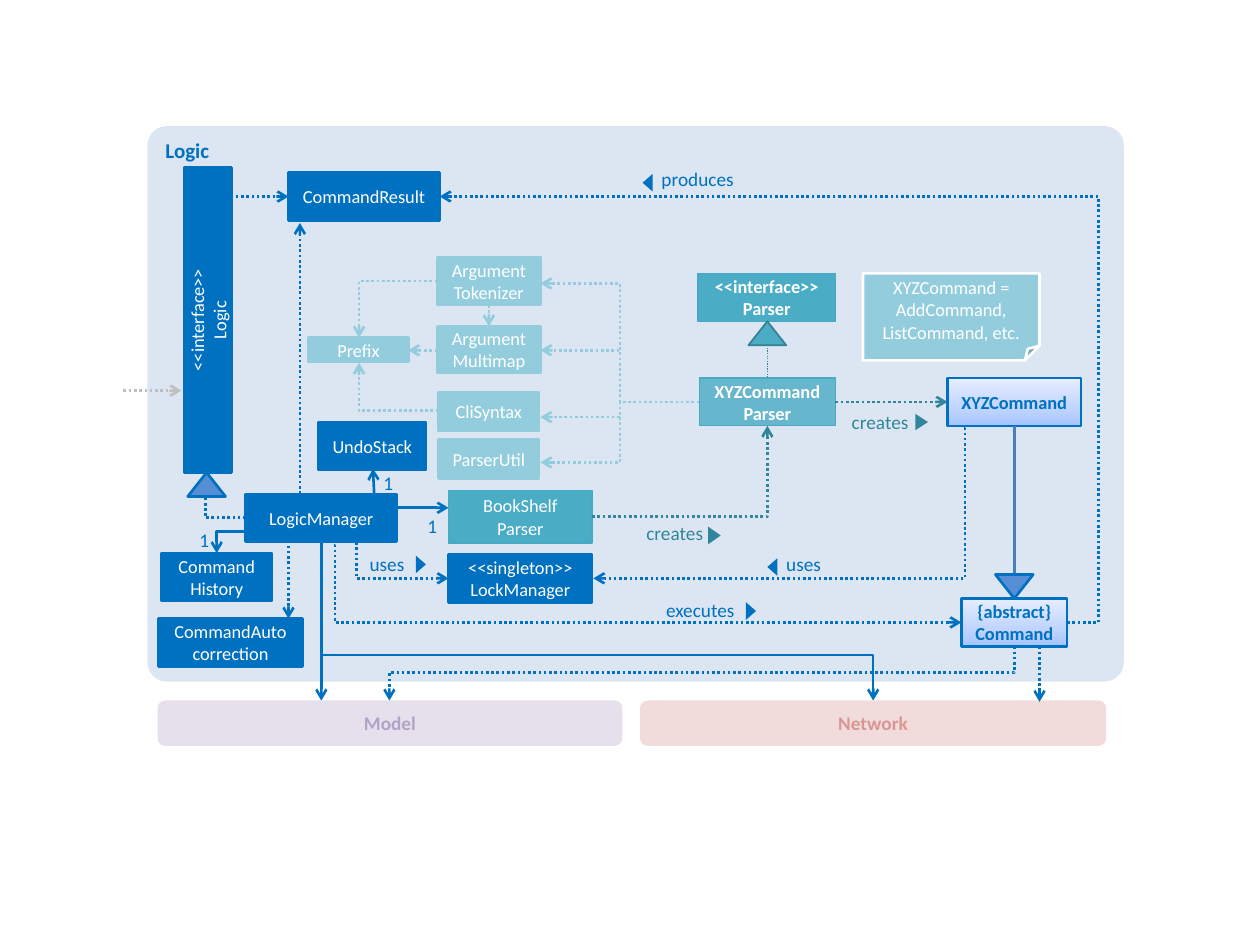
"""Build the Logic component class diagram slide."""
import copy
import pptx
import pptx.dml.color
import pptx.enum.dml
import pptx.enum.shapes
import pptx.enum.text
import pptx.oxml.ns
import pptx.util
from lxml import etree

RGB = pptx.dml.color.RGBColor
SHAPE = pptx.enum.shapes.MSO_SHAPE
ALIGN = pptx.enum.text.PP_ALIGN
ANCHOR = pptx.enum.text.MSO_ANCHOR
qn = pptx.oxml.ns.qn
inches = pptx.util.Inches

BLUE = RGB(0x00, 0x70, 0xC0)
MID_BLUE = RGB(0x55, 0x8E, 0xD5)
STEEL = RGB(0x4B, 0x7E, 0xBC)
PANEL = RGB(0xDC, 0xE6, 0xF2)
TEAL = RGB(0x4B, 0xAC, 0xC6)
TEAL_EDGE = RGB(0x46, 0xAA, 0xC5)
TEAL_DARK = RGB(0x31, 0x85, 0x9C)
TEAL_RIM = RGB(0x37, 0x7F, 0x92)
PALE = RGB(0x93, 0xCD, 0xDD)
GREY = RGB(0xBF, 0xBF, 0xBF)
LILAC = RGB(0xE6, 0xE0, 0xEC)
LILAC_INK = RGB(0xB3, 0xA2, 0xC7)
ROSE = RGB(0xF2, 0xDC, 0xDB)
ROSE_INK = RGB(0xD9, 0x96, 0x94)
WHITE = RGB(0xFF, 0xFF, 0xFF)
COMMAND_STOPS = ((0, RGB(0xA4, 0xC4, 0xFF)), (0.35, RGB(0xBF, 0xD4, 0xFF)), (1, RGB(0xE6, 0xEE, 0xFF)))

STYLES = {
    "main": dict(fill=BLUE, edge=BLUE),
    "parser": dict(fill=TEAL, edge=TEAL_EDGE, weight=0.75),
    "parser bold": dict(fill=TEAL, edge=TEAL_EDGE, weight=0.75, bold=True),
    "helper": dict(fill=PALE, edge=PALE),
    "command": dict(fill=COMMAND_STOPS, edge=BLUE, ink=BLUE, bold=True),
    "note": dict(fill=PALE, edge=WHITE, kind=SHAPE.FOLDED_CORNER),
    "model": dict(fill=LILAC, kind=SHAPE.ROUNDED_RECTANGLE, size=11, ink=LILAC_INK, bold=True),
    "network": dict(fill=ROSE, kind=SHAPE.ROUNDED_RECTANGLE, size=11, ink=ROSE_INK, bold=True),
}
BOXES = [
    ("CommandResult", "main", 2.29, 1.37, 1.2, 0.38),
    ("XYZCommand", "command", 7.52, 3, 1.06, 0.38),
    ("LogicManager", "main", 1.95, 3.92, 1.2, 0.38),
    ("{abstract}\vCommand", "command", 7.63, 4.75, 0.84, 0.38),
    ("BookShelf\nParser", "parser", 3.56, 3.89, 1.14, 0.42),
    ("Argument\vTokenizer", "helper", 3.47, 2.04, 0.82, 0.38),
    ("Argument\vMultimap", "helper", 3.47, 2.59, 0.82, 0.37),
    ("Prefix", "helper", 2.45, 2.68, 0.79, 0.19),
    ("CliSyntax", "helper", 3.48, 3.11, 0.8, 0.31),
    ("ParserUtil", "helper", 3.48, 3.49, 0.8, 0.31),
    ("Command\nHistory", "main", 1.28, 4.39, 0.88, 0.38),
    ("<<interface>>\nParser", "parser bold", 5.54, 2.17, 1.09, 0.38),
    ("XYZCommand\nParser", "parser bold", 5.55, 3, 1.08, 0.38),
    ("XYZCommand = AddCommand, ListCommand, etc.", "note", 6.85, 2.17, 1.4, 0.69),
    ("UndoStack", "main", 2.53, 3.35, 0.85, 0.38),
    ("<<singleton>>\nLockManager", "main", 3.56, 4.4, 1.14, 0.38),
    ("CommandAutocorrection", "main", 1.26, 4.91, 1.14, 0.38),
    ("Model", "model", 1.25, 5.56, 3.69, 0.36),
    ("Network", "network", 5.08, 5.56, 3.7, 0.36),
]
TRIANGLES = [
    (1.49, 3.75, 0.3, 0.19, 0, MID_BLUE, BLUE, 1.5),
    (7.9, 4.56, 0.3, 0.19, 180, MID_BLUE, BLUE, 1.5),
    (5.94, 2.55, 0.3, 0.19, 0, TEAL, TEAL_RIM, 1),
    (5.89, 4.81, 0.14, 0.08, 90, BLUE, None, 0),
    (5.07, 1.41, 0.14, 0.08, 270, BLUE, None, 0),
    (5.6, 4.2, 0.14, 0.1, 90, TEAL_DARK, None, 0),
    (7.25, 3.3, 0.13, 0.1, 90, TEAL_DARK, None, 0),
    (6.06, 4.46, 0.14, 0.08, 270, BLUE, None, 0),
    (3.27, 4.44, 0.14, 0.08, 90, BLUE, None, 0),
]
LABELS = [
    ("executes", 5.03, 4.75, 0.8, ALIGN.RIGHT, BLUE),
    ("produces", 5.25, 1.33, 0.8, ALIGN.LEFT, BLUE),
    ("creates", 5.13, 4.14, 0.61, ALIGN.LEFT, TEAL_DARK),
    ("creates", 6.76, 3.26, 0.65, ALIGN.LEFT, TEAL_DARK),
    ("uses", 6.24, 4.38, 0.8, ALIGN.LEFT, BLUE),
    ("uses", 2.41, 4.38, 0.8, ALIGN.RIGHT, BLUE),
    ("1", 3.33, 4.08, 0.14, ALIGN.RIGHT, BLUE),
    ("1", 1.52, 4.19, 0.14, ALIGN.RIGHT, BLUE),
    ("1", 2.98, 3.74, 0.14, ALIGN.RIGHT, BLUE),
]
DOTTED = dict(dotted=True, arrow=True)
SOLID = dict(dotted=False, arrow=True)
ROUTES = [
    (BLUE, DOTTED, [
        [(8.47, 4.94), (8.72, 4.94), (8.72, 1.56), (3.49, 1.56)],
        [(1.83, 1.56), (2.29, 1.56)],
        [(8.25, 5.13), (8.25, 5.57)],
        [(2.65, 4.33), (2.66, 4.33), (2.66, 4.94), (7.63, 4.94)],
        [(2.38, 3.92), (2.38, 1.77)],
        [(8.05, 5.13), (8.05, 5.34), (3.09, 5.34), (3.09, 5.56)],
        [(2.29, 4.33), (2.29, 4.91)],
        [(2.85, 4.28), (2.83, 4.28), (2.83, 4.59), (3.56, 4.59)],
        [(7.65, 3.4), (7.66, 3.4), (7.66, 4.59), (4.71, 4.59)]]),
    (BLUE, SOLID, [
        [(2.55, 4.3), (2.55, 5.56)],
        [(3.16, 4.03), (3.56, 4.03)],
        [(2.97, 3.92), (2.96, 3.72)],
        [(2.55, 4.3), (2.55, 5.2), (6.93, 5.2), (6.93, 5.56)],
        [(2.03, 4.22), (1.72, 4.22), (1.72, 4.39)]]),
    (BLUE, dict(dotted=True), [[(1.95, 4.11), (1.63, 4.11), (1.63, 3.94)]]),
    (GREY, DOTTED, [[(0.98, 3.1), (1.44, 3.1)]]),
    (STEEL, dict(), [[(8.05, 4.56), (8.05, 3.38)]]),
    (PALE, DOTTED, [
        [(3.48, 3.26), (2.85, 3.26), (2.85, 2.88)],
        [(3.47, 2.23), (2.85, 2.23), (2.85, 2.68)],
        [(3.47, 2.78), (3.24, 2.78)],
        [(3.88, 2.42), (3.88, 2.59)],
        *[[(5.55, 3.19), (4.92, 3.19), (4.92, y), (4.29, y)] for y in (2.25, 2.78, 3.31, 3.67)]]),
    (TEAL_DARK, DOTTED, [
        [(6.63, 3.19), (7.52, 3.19)],
        [(4.7, 4.1), (6.09, 4.1), (6.09, 3.38)]]),
    (TEAL_DARK, dict(dotted=True, weight=0.75), [[(6.09, 2.74), (6.09, 3)]]),
]


def write(shape, text, size, ink, bold=False, align=ALIGN.CENTER, anchor=ANCHOR.MIDDLE):
    frame = shape.text_frame
    frame.word_wrap = True
    frame.vertical_anchor = anchor
    frame.text = text
    for para in frame.paragraphs:
        para.alignment = align
        for span in para.runs:
            span.font.name, span.font.size = "Calibri", pptx.util.Pt(size)
            span.font.bold, span.font.color.rgb = bold, ink


def add_box(page, at, kind=SHAPE.RECTANGLE, fill=WHITE, edge=None, weight=1.5, turn=0):
    box = page.shapes.add_shape(kind, *map(inches, at))
    box.shadow.inherit = False
    box.rotation = turn
    if fill is COMMAND_STOPS:
        box.fill.gradient()
        box.fill.gradient_angle = 90
        stop_list = box._element.spPr.find(".//" + qn("a:gsLst"))
        stop_list.append(copy.deepcopy(stop_list[0]))
        for stop, (position, color) in zip(box.fill.gradient_stops, fill):
            stop.position, stop.color.rgb = position, color
    else:
        box.fill.solid()
        box.fill.fore_color.rgb = fill
    if edge is None:
        box.line.fill.background()
    else:
        box.line.color.rgb, box.line.width = edge, pptx.util.Pt(weight)
    return box


def add_route(page, points, color, dotted=False, arrow=False, weight=1.5):
    (x0, y0), (x1, y1) = points[0], points[-1]
    bend = points[1]
    upright = len(points) == 4 and bend[0] == x0
    ends = (x0, y0, x1, y1)
    if upright:
        cx, cy, dx, dy = (x0 + x1) / 2, (y0 + y1) / 2, x1 - x0, y1 - y0
        ends = (cx - dy / 2, cy + dx / 2, cx + dy / 2, cy - dx / 2)
    kinds = pptx.enum.shapes.MSO_CONNECTOR
    line = page.shapes.add_connector(kinds.STRAIGHT if len(points) == 2 else kinds.ELBOW, *map(inches, ends))
    properties = line._element.spPr
    geometry = properties.find(qn("a:prstGeom"))
    if upright:
        properties.find(qn("a:xfrm")).set("rot", "5400000")
    if len(points) == 3:
        geometry.set("prst", "bentConnector2")
    if len(points) == 4:
        share = (bend[1] - y0) / (y1 - y0) if upright else (bend[0] - x0) / (x1 - x0)
        guides = geometry.get_or_add_avLst()
        etree.SubElement(guides, qn("a:gd"), name="adj1", fmla=f"val {round(share * 100000)}")
    line.line.color.rgb, line.line.width = color, pptx.util.Pt(weight)
    if dotted:
        line.line.dash_style = pptx.enum.dml.MSO_LINE.ROUND_DOT
        properties.find(".//" + qn("a:prstDash")).set("val", "sysDot")
    if arrow:
        etree.SubElement(properties.find(qn("a:ln")), qn("a:tailEnd"), type="arrow")
    etree.SubElement(properties, qn("a:effectLst"))


deck = pptx.Presentation()
deck.slide_width, deck.slide_height = inches(10), inches(7.5)
page = deck.slides.add_slide(deck.slide_layouts[6])

panel = add_box(page, (1.17, 1, 7.75, 4.41), SHAPE.ROUNDED_RECTANGLE, PANEL)
panel.adjustments[0] = 0.035
write(panel, "Logic", 12, BLUE, True, ALIGN.LEFT, ANCHOR.TOP)

logic_bar = add_box(page, (0.44, 2.35, 2.42, 0.38), fill=BLUE, edge=BLUE, turn=270)
write(logic_bar, "<<interface>>\nLogic", 10.5, WHITE)

for text, style, *at in BOXES:
    look = dict(STYLES[style])
    size, ink, bold = look.pop("size", 10.5), look.pop("ink", WHITE), look.pop("bold", False)
    box = add_box(page, at, **look)
    write(box, text, size, ink, bold)
    if text.startswith("XYZCommand\n"):
        color = box._element.spPr.find(qn("a:solidFill"))[0]
        etree.SubElement(color, qn("a:alpha"), val="81000")

for color, look, routes in ROUTES:
    for points in routes:
        add_route(page, points, color, **look)

for *at, turn, fill, edge, weight in TRIANGLES:
    add_box(page, at, SHAPE.ISOSCELES_TRIANGLE, fill, edge, weight, turn)

for text, left, top, width, align, ink in LABELS:
    label = page.shapes.add_textbox(*map(inches, (left, top, width, 0.25)))
    frame = label.text_frame
    frame.margin_left = frame.margin_right = frame.margin_top = frame.margin_bottom = 0
    write(label, text, 11, ink, align=align, anchor=ANCHOR.TOP)

deck.save("out.pptx")
